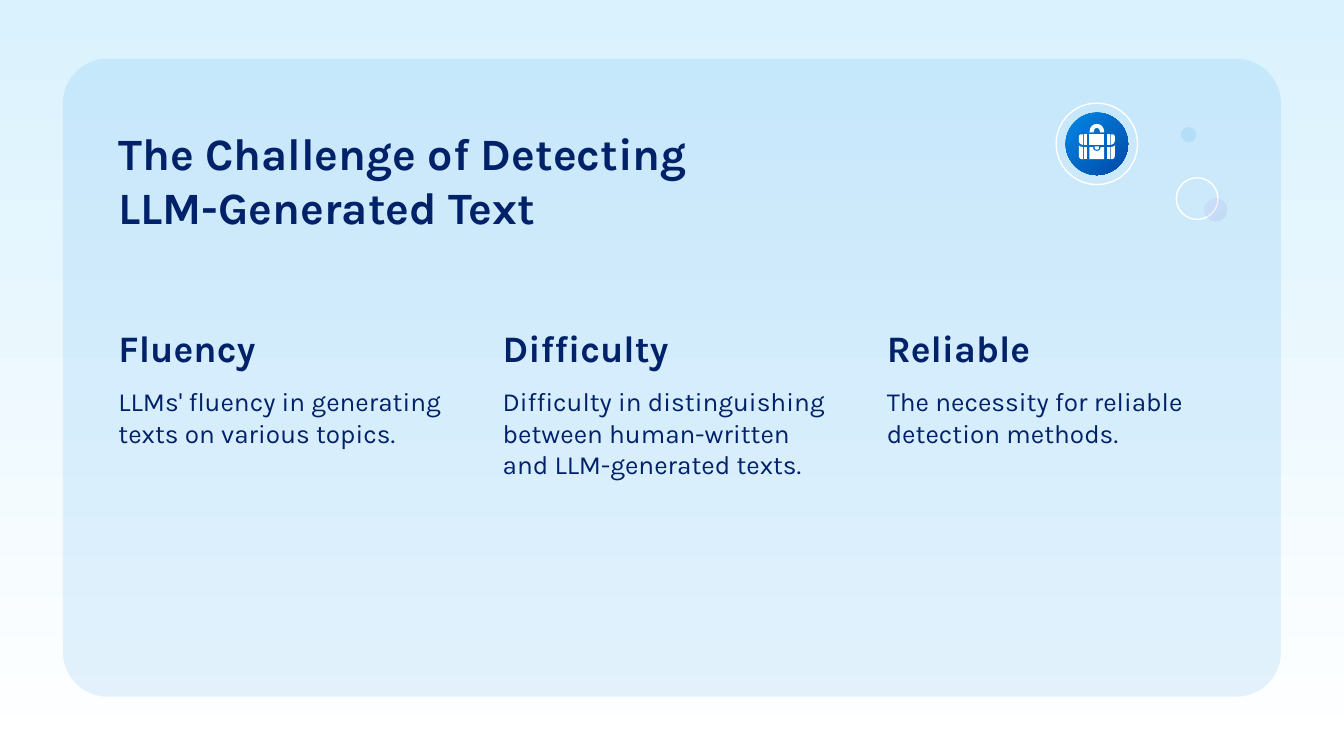
"""Build the slide on the challenge of detecting LLM-generated text."""
from dataclasses import dataclass
from typing import Optional

from lxml import etree
from pptx import Presentation
from pptx import util as u
from pptx.dml.color import RGBColor
from pptx.enum import shapes, text
from pptx.oxml.ns import qn

COLORS = {
    "white": "FFFFFF",
    "sky": "DAF2FE",
    "blue": "0388E5",
    "deep": "0048A7",
    "navy": "012169",
    "lilac": "AD8DFF",
    "violet": "6746B9",
}
FONT = "Karla"
CURVE_STEPS = 8
CASE_X = 20.73


@dataclass
class Topic:
    head: str
    body: str


@dataclass
class Circle:
    x: float
    y: float
    size: float
    fill: tuple = ()
    alpha: Optional[int] = None


TOPICS = [
    Topic("Fluency", "LLMs' fluency in generating texts on various topics."),
    Topic("Difficulty", "Difficulty in distinguishing between human-written and LLM-generated texts."),
    Topic("Reliable", "The necessity for reliable detection methods."),
]
BADGE = [
    Circle(19.96, 1.95, 1.54),
    Circle(20.14, 2.13, 1.18, ("blue", "deep")),
]
BUBBLES = [
    Circle(22.23, 3.36, 0.79),
    Circle(22.76, 3.75, 0.43, ("lilac", "violet"), 10),
    Circle(22.32, 2.4, 0.29, ("blue",), 10),
]


def box(left: float, top: float, right: float, bottom: float) -> list:
    return [(left, top), (left, bottom), (right, bottom), (right, top)]


CASE_SIDES = [
    box(-0.24, 2.54, -0.19, 2.74),
    box(-0.24, 2.78, -0.19, 3.01),
    [(-0.26, 2.54), (-0.29, 2.54), (-0.32, 2.54, -0.34, 2.56, -0.34, 2.59),
     (-0.34, 2.66), (-0.34, 2.7, -0.31, 2.73, -0.26, 2.74)],
    [(-0.34, 2.75), (-0.34, 2.94), (-0.34, 2.98, -0.32, 3.01, -0.28, 3.01),
     (-0.26, 3.01), (-0.26, 2.78), (-0.29, 2.78, -0.32, 2.77, -0.34, 2.75)],
]
CASE_MIDDLE = [
    box(-0.14, 2.54, 0.14, 2.74),
    [(-0.04, 2.77), (-0.04, 2.8), (-0.04, 2.84, 0.04, 2.84, 0.04, 2.8), (0.04, 2.77)],
    box(-0.14, 2.78, 0.14, 3.01)
    + [(0.07, 2.78), (0.07, 2.8), (0.07, 2.87, -0.07, 2.87, -0.07, 2.8), (-0.07, 2.78)],
    [(-0.14, 2.5), (-0.14, 2.29, 0.14, 2.29, 0.14, 2.5),
     (0.06, 2.5), (0.06, 2.39, -0.06, 2.39, -0.06, 2.5)],
]


def rgb(name: str) -> RGBColor:
    return RGBColor.from_string(COLORS[name])


def set_gradient(fill, names: tuple, angle: int) -> None:
    fill.gradient()
    fill.gradient_angle = angle
    for stop, name in zip(fill.gradient_stops, names):
        stop.color.rgb = rgb(name)


def style(sp, names: tuple, alpha: Optional[int] = None) -> None:
    sp.shadow.inherit = False
    if len(names) > 1:
        set_gradient(sp.fill, names, 315)
    elif names:
        sp.fill.solid()
        sp.fill.fore_color.rgb = rgb(names[0])
    else:
        sp.fill.background()
    if alpha is not None:
        for color in sp._element.spPr.iter(qn("a:srgbClr")):
            etree.SubElement(color, qn("a:alpha")).set("val", str(alpha * 1000))
    if names:
        sp.line.fill.background()
    else:
        sp.line.color.rgb = rgb("white")
        sp.line.width = u.Pt(0.75)


def add_circle(tree, c: Circle) -> None:
    sp = tree.add_shape(shapes.MSO_SHAPE.OVAL, u.Cm(c.x), u.Cm(c.y), u.Cm(c.size), u.Cm(c.size))
    style(sp, c.fill, c.alpha)


def flatten(path: list) -> list:
    """Turn a path of points and cubic segments into plain points."""
    points = []
    for step in path:
        if len(step) == 2:
            points.append(step)
            continue
        knots = [points[-1], step[:2], step[2:4], step[4:]]
        for i in range(1, CURVE_STEPS + 1):
            t = i / CURVE_STEPS
            weights = ((1 - t) ** 3, 3 * t * (1 - t) ** 2, 3 * t * t * (1 - t), t ** 3)
            points.append(tuple(sum(w * k[axis] for w, k in zip(weights, knots)) for axis in (0, 1)))
    return points


def add_case_part(tree, path: list, side: int = 1) -> None:
    points = [(u.Cm(CASE_X + side * x), u.Cm(y)) for x, y in flatten(path)]
    builder = tree.build_freeform(*points[0])
    builder.add_line_segments(points[1:], close=True)
    style(builder.convert_to_shape(), ("white",))


def add_text(tree, words: str, left: float, top: float, width: float, height: float,
             size: int, bold: bool = False, anchor=text.MSO_ANCHOR.TOP) -> None:
    tf = tree.add_textbox(u.Cm(left), u.Cm(top), u.Cm(width), u.Cm(height)).text_frame
    tf.word_wrap = True
    tf.vertical_anchor = anchor
    tf.margin_left = tf.margin_right = tf.margin_top = tf.margin_bottom = u.Cm(0.25)
    r = tf.paragraphs[0].add_run()
    r.text = words
    r.font.name = FONT
    r.font.size = u.Pt(size)
    r.font.bold = bold
    r.font.color.rgb = rgb("navy")


def main() -> None:
    prs = Presentation()
    prs.slide_width, prs.slide_height = u.Cm(25.4), u.Cm(14.29)
    s = prs.slides.add_slide(prs.slide_layouts[6])
    set_gradient(s.background.fill, ("white", "sky"), 90)

    panel = s.shapes.add_shape(shapes.MSO_SHAPE.ROUNDED_RECTANGLE,
                               u.Cm(1.19), u.Cm(1.11), u.Cm(23.02), u.Cm(12.06))
    panel.adjustments[0] = 0.07
    style(panel, ("blue",), 10)

    add_text(s.shapes, "The Challenge of Detecting LLM-Generated Text", 1.99, 2.13, 11.73, 2.57, 24, True)
    for i, topic in enumerate(TOPICS):
        left = 1.99 + 7.26 * i
        add_text(s.shapes, topic.head, left, 5.87, 6.91, 1.37, 20, True, text.MSO_ANCHOR.BOTTOM)
        add_text(s.shapes, topic.body, left, 7.04, 6.91, 1.7, 14)

    badge = s.shapes.add_group_shape().shapes
    for circle in BADGE:
        add_circle(badge, circle)
    for path in CASE_SIDES:
        for side in (1, -1):
            add_case_part(badge, path, side)
    for path in CASE_MIDDLE:
        add_case_part(badge, path)
    for circle in BUBBLES:
        add_circle(s.shapes, circle)

    prs.save("out.pptx")


if __name__ == "__main__":
    main()
